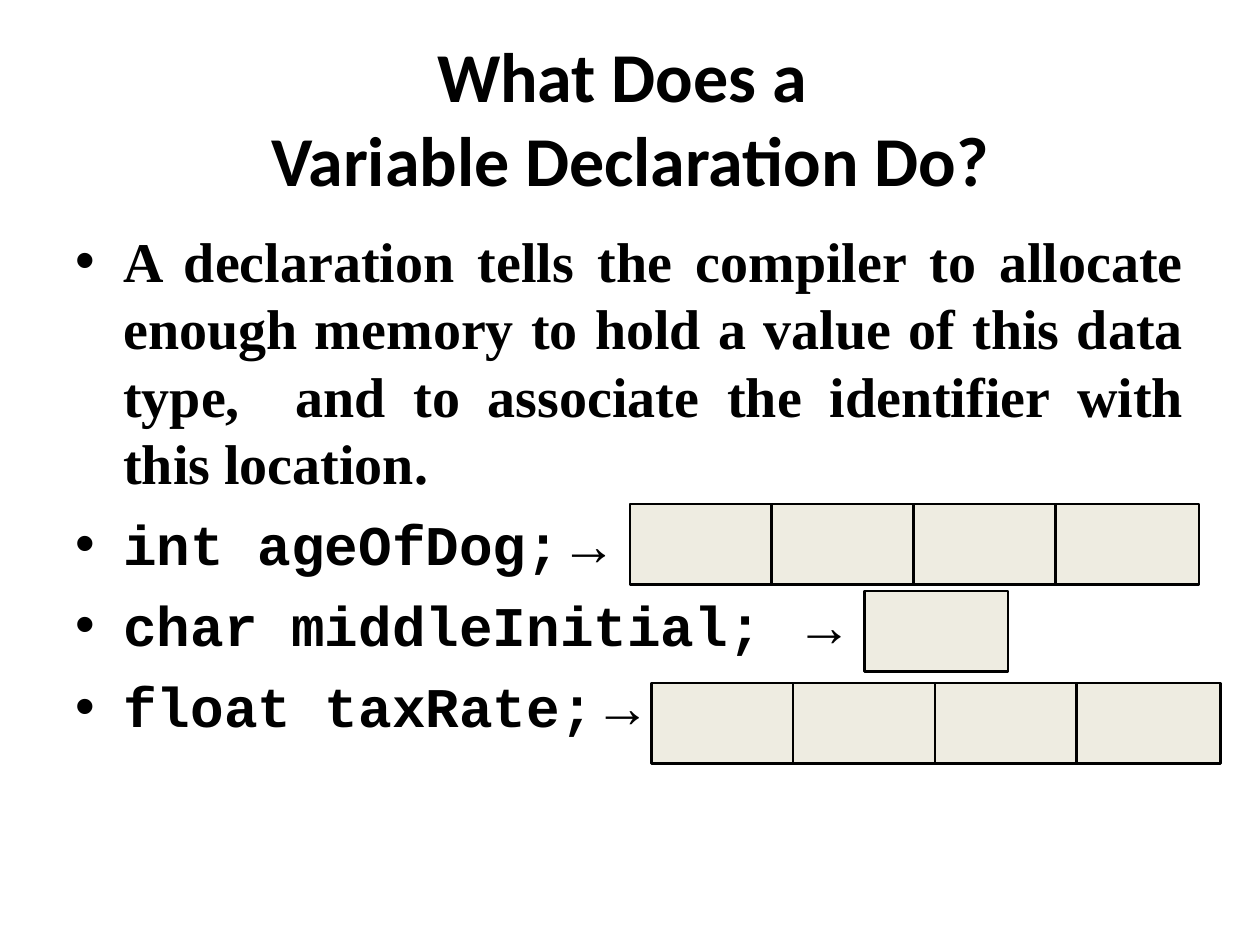
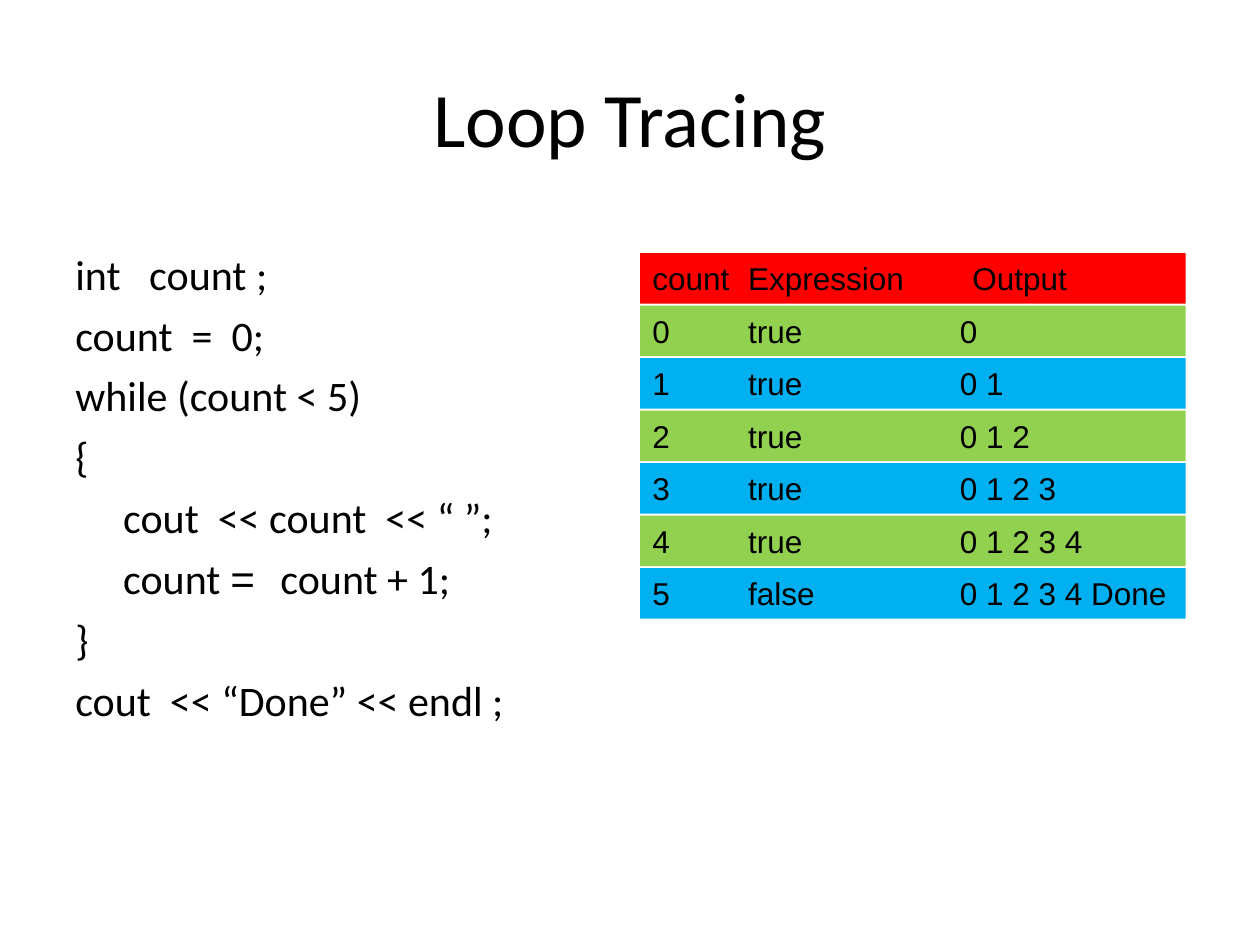
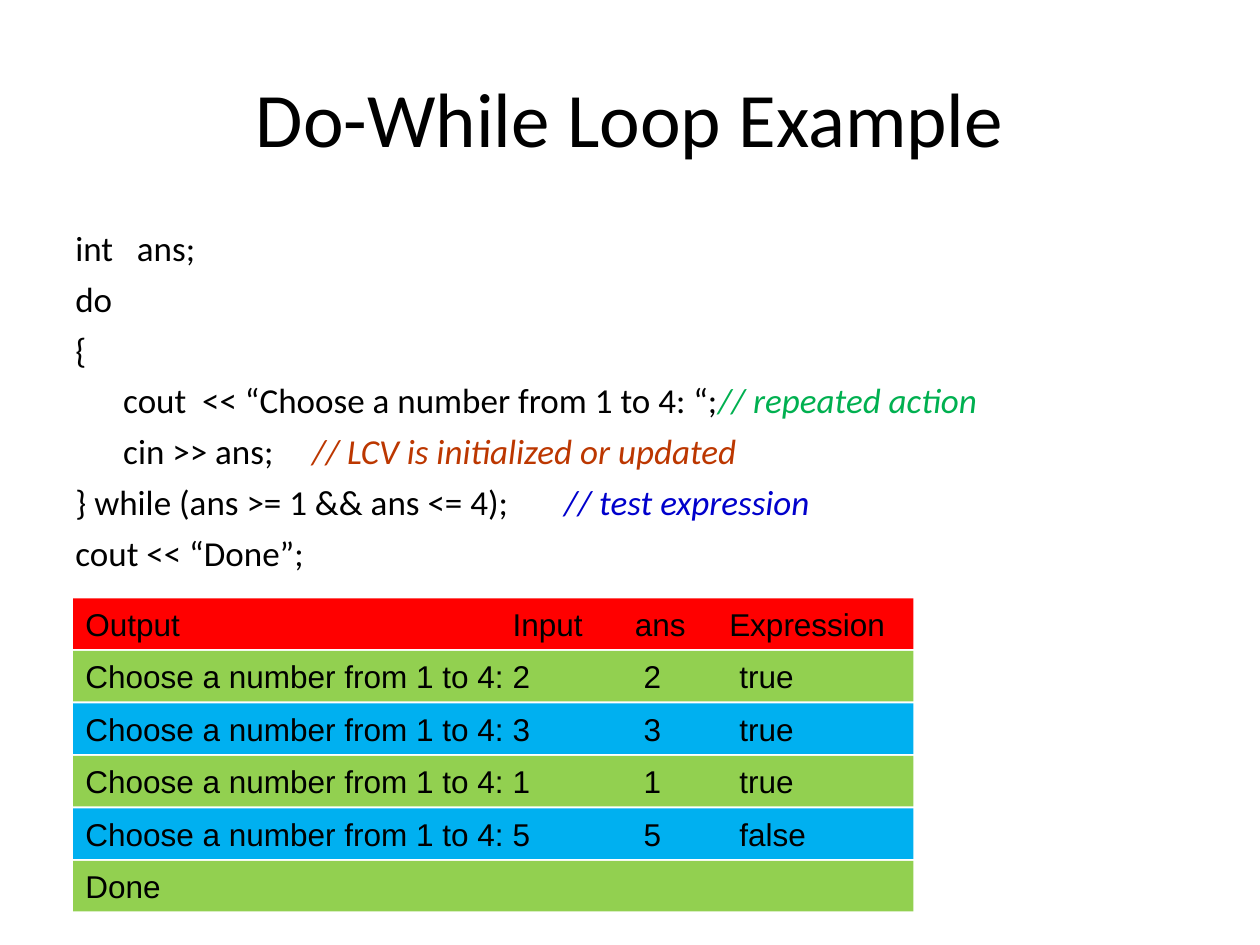
from dataclasses import dataclass
from typing import Optional

from lxml.etree import SubElement
from pptx import Presentation
from pptx.dml.color import RGBColor
from pptx.enum.shapes import MSO_SHAPE as Shape
from pptx.enum.text import MSO_ANCHOR as Anchor, MSO_AUTO_SIZE as AutoSize, PP_ALIGN as Align
from pptx.oxml.ns import qn
from pptx.util import Inches, Pt

BLACK = RGBColor(0x00, 0x00, 0x00)
CELL_FILL = RGBColor(0xEE, 0xEC, 0xE1)
HEADER_RED = RGBColor(0xFF, 0x00, 0x00)
ROW_GREEN = RGBColor(0x92, 0xD0, 0x50)
ROW_BLUE = RGBColor(0x00, 0xB0, 0xF0)
ACTION_GREEN = RGBColor(0x00, 0xB0, 0x50)
UPDATE_ORANGE = RGBColor(0xBC, 0x37, 0x00)
TEST_BLUE = RGBColor(0x00, 0x00, 0xCC)

SANS, SERIF, MONO, BAND_FONT = "Calibri", "Times New Roman", "Courier New", "Arial"
LEADING = 1.2
HANGING = Inches(0.38)
COMMENT_TAB = 4.0
BAND_PITCH = Inches(2.5) / 6
CELL_PITCH = Inches(4.5) / 4
CELL_SIZE = Inches(1.14), Inches(0.64)


@dataclass(frozen=True)
class Span:
    text: str
    font: str = SANS
    color: RGBColor = BLACK
    bold: bool = False
    italic: bool = False


@dataclass(frozen=True)
class Line:
    spans: tuple[Span, ...]
    bullet: bool = False
    align: Optional[Align] = None


@dataclass(frozen=True)
class Body:
    left: float
    top: float
    width: float
    height: float
    size: int
    gap: int
    lines: tuple[Line, ...]


@dataclass(frozen=True)
class Memory:
    """Cells that a declared variable takes up."""
    left: float
    top: float
    cells: int


@dataclass(frozen=True)
class Trace:
    """Rows of a loop trace, with column tabs for the header and the rows."""
    left: float
    top: float
    width: float
    header_tabs: tuple[float, ...]
    row_tabs: tuple[float, ...]
    rows: tuple[tuple[str, ...], ...]


def style_run(run, span: Span, size: int) -> None:
    font = run.font
    font.name, font.size = span.font, Pt(size)
    font.bold, font.italic = span.bold, span.italic
    font.color.rgb = span.color


def set_tabs(paragraph, stops: tuple[float, ...]) -> None:
    tab_list = SubElement(paragraph._p.get_or_add_pPr(), qn("a:tabLst"))
    for stop in stops:
        SubElement(tab_list, qn("a:tab"), pos=str(Inches(stop)), algn="l")


def set_hanging(paragraph, bullet: bool) -> None:
    props = paragraph._p.get_or_add_pPr()
    props.set("marL", str(HANGING))
    props.set("indent", str(-HANGING))
    if bullet:
        SubElement(props, qn("a:buFont"), typeface="Arial")
        SubElement(props, qn("a:buChar"), char="•")
    else:
        SubElement(props, qn("a:buNone"))


def add_titled_slide(deck, title: str, size: int = 44, bold: bool = False):
    slide = deck.slides.add_slide(deck.slide_layouts[5])
    holder = slide.shapes.title
    holder.left, holder.top = Inches(0.5), Inches(0.3)
    holder.width, holder.height = Inches(9), Inches(1.25)
    frame = holder.text_frame
    frame.text = title
    frame.auto_size = AutoSize.NONE
    frame.vertical_anchor = Anchor.MIDDLE
    paragraph = frame.paragraphs[0]
    paragraph.alignment = Align.CENTER
    paragraph.line_spacing = Pt(size * LEADING)
    for run in paragraph.runs:
        style_run(run, Span(run.text, bold=bold), size)
    return slide


def add_body(slide, body: Body) -> None:
    box = slide.shapes.add_textbox(Inches(body.left), Inches(body.top),
                                   Inches(body.width), Inches(body.height))
    frame = box.text_frame
    frame.word_wrap = True
    for number, line in enumerate(body.lines):
        paragraph = frame.add_paragraph() if number else frame.paragraphs[0]
        set_hanging(paragraph, line.bullet)
        set_tabs(paragraph, (COMMENT_TAB,))
        paragraph.alignment = line.align
        paragraph.line_spacing = Pt(body.size * LEADING)
        paragraph.space_before = Pt(body.gap if number else 0)
        for span in line.spans:
            run = paragraph.add_run()
            run.text = span.text
            style_run(run, span, body.size)


def add_rectangle(slide, left: int, top: int, width: int, height: int, fill: RGBColor):
    rectangle = slide.shapes.add_shape(Shape.RECTANGLE, left, top, width, height)
    rectangle.shadow.inherit = False
    rectangle.fill.solid()
    rectangle.fill.fore_color.rgb = fill
    return rectangle


def add_memory(slide, memory: Memory) -> None:
    for number in range(memory.cells):
        left = round(Inches(memory.left) + number * CELL_PITCH)
        cell = add_rectangle(slide, left, Inches(memory.top), *CELL_SIZE, CELL_FILL)
        cell.line.color.rgb = BLACK
        cell.line.width = Pt(1.5)


def add_trace(slide, trace: Trace) -> None:
    for number, row in enumerate(trace.rows):
        fill = (ROW_BLUE, ROW_GREEN)[number % 2] if number else HEADER_RED
        top = round(Inches(trace.top) + number * BAND_PITCH)
        band = add_rectangle(slide, Inches(trace.left), top,
                             Inches(trace.width), Inches(0.4), fill)
        band.line.fill.background()
        frame = band.text_frame
        frame.word_wrap = True
        frame.vertical_anchor = Anchor.TOP
        paragraph = frame.paragraphs[0]
        paragraph.text = "\t".join(row)
        set_tabs(paragraph, trace.row_tabs if number else trace.header_tabs)
        paragraph.alignment = Align.LEFT
        paragraph.line_spacing = Pt(18 * LEADING)
        style_run(paragraph.runs[0], Span(row[0], font=BAND_FONT), 18)


def code(text: str, comment: str = "", color: RGBColor = BLACK) -> Line:
    spans = (Span(text),)
    if comment:
        spans += (Span(comment, color=color, italic=True),)
    return Line(spans)


def declaration(text: str) -> Line:
    return Line((Span(text, MONO, bold=True), Span("→", BAND_FONT, bold=True)), bullet=True)


DECLARATIONS = Body(0.5, 1.75, 9, 4.95, 32, 8, (
    Line((Span("A declaration tells the compiler to allocate enough memory to hold a value "
               "of this data type,  and to associate the identifier with this location.",
               SERIF, bold=True),), bullet=True, align=Align.JUSTIFY),
    declaration("int ageOfDog;"),
    declaration("char middleInitial; "),
    declaration("float taxRate;"),
))
VARIABLES = (Memory(5, 4, 4), Memory(6.86, 4.69, 1), Memory(5.17, 5.42, 4))

WHILE_CODE = Body(0.5, 1.92, 3.83, 4.42, 24, 6, (
    code("int   count ;"),
    code("count  =  0;"),
    code("while (count < 5)"),
    code("{"),
    code("\tcout  << count  << “ ”;"),
    Line((Span("\tcount "), Span("= ", MONO), Span("count + 1;"))),
    code("}"),
    code("cout  << “Done” << endl ;"),
))
WHILE_TRACE = Trace(5.08, 2.01, 4.33, (0.76, 2.54), (0.76, 2.44), (
    ("count", "Expression", "Output"),
    ("0", "true", "0"),
    ("1", "true", "0 1"),
    ("2", "true", "0 1 2"),
    ("3", "true", "0 1 2 3"),
    ("4", "true", "0 1 2 3 4"),
    ("5", "false", "0 1 2 3 4 Done"),
))

DO_WHILE_CODE = Body(0.5, 1.75, 9, 3, 20, 5, (
    code("int   ans;"),
    code("do"),
    code("{"),
    code("\tcout  << “Choose a number from 1 to 4: “;", "// repeated action", ACTION_GREEN),
    code("\tcin >> ans;\t", "// LCV is initialized or updated", UPDATE_ORANGE),
    code("} while (ans >= 1 && ans <= 4);\t", "// test expression", TEST_BLUE),
    code("cout << “Done”;"),
))
PROMPT = "Choose a number from 1 to 4:"
ANSWERS = (("2", "true"), ("3", "true"), ("1", "true"), ("5", "false"))
DO_WHILE_TRACE = Trace(0.58, 4.75, 6.67, (3.39, 4.36, 5.11), (3.39, 4.43, 5.19), (
    ("Output", "Input", "ans", "Expression"),
    *((PROMPT, answer, answer, result) for answer, result in ANSWERS),
    ("Done",),
))


def main() -> None:
    deck = Presentation()
    deck.slide_width, deck.slide_height = Inches(10), Inches(7.5)

    slide = add_titled_slide(deck, "What Does a \vVariable Declaration Do?", 40, bold=True)
    add_body(slide, DECLARATIONS)
    for memory in VARIABLES:
        add_memory(slide, memory)

    slide = add_titled_slide(deck, "Loop Tracing")
    add_body(slide, WHILE_CODE)
    add_trace(slide, WHILE_TRACE)

    slide = add_titled_slide(deck, "Do-While Loop Example")
    add_body(slide, DO_WHILE_CODE)
    add_trace(slide, DO_WHILE_TRACE)

    deck.save("out.pptx")


if __name__ == "__main__":
    main()
